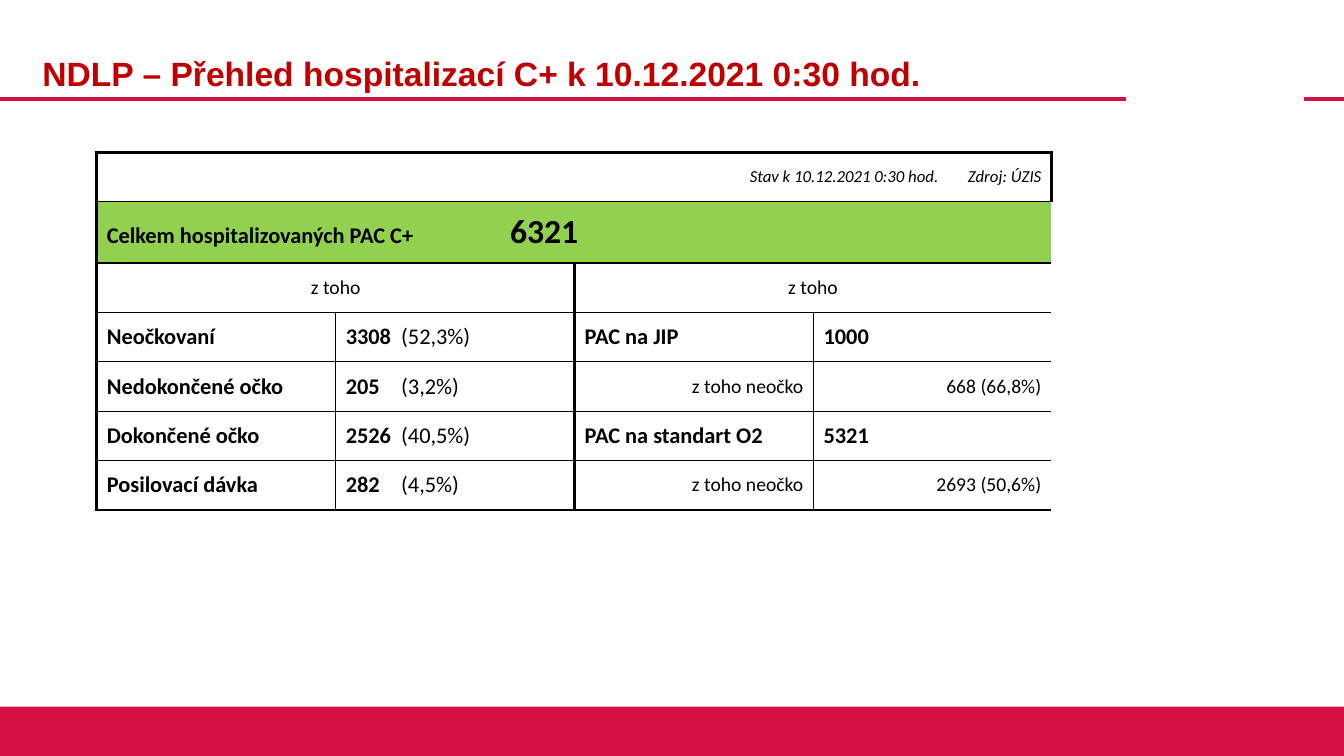
from dataclasses import dataclass

import pptx
import pptx.dml.color
import pptx.enum.shapes
import pptx.enum.text
import pptx.oxml
import pptx.oxml.ns
import pptx.util
from pptx.util import Inches

ALIGN = pptx.enum.text.PP_ALIGN
MIDDLE = pptx.enum.text.MSO_ANCHOR.MIDDLE


def rgb(value):
    return pptx.dml.color.RGBColor.from_string(value)


@dataclass(frozen=True)
class Theme:
    band: str = "D31145"
    title: str = "C00000"
    ink: str = "000000"
    paper: str = "FFFFFF"
    total: str = "92D050"
    title_font: str = "Arial"
    body_font: str = "Calibri"
    big: int = 24
    label: int = 16
    detail: int = 14
    source: int = 12
    rule: float = 3
    thick: float = 2.25
    thin: float = 1


THEME = Theme()
LABEL = {"size": THEME.label, "bold": True}
VALUE = {"size": THEME.label}
TOTAL = {"size": THEME.big, "bold": True}
DETAIL = {"size": THEME.detail}
SOURCE = {"size": THEME.source, "italic": True}

COLUMN_WIDTHS = (2.37, 2.37, 2.37, 1.34, 1.02)
ROW_HEIGHTS = (0.49, 0.61) + (0.49,) * 5
SHARE_TAB = 0.55
TOTAL_TAB = 4

VACCINATION = (
    ("Neočkovaní", "3308", "(52,3%)"),
    ("Nedokončené očko", "205", "(3,2%)"),
    ("Dokončené očko", "2526", "(40,5%)"),
    ("Posilovací dávka", "282", "(4,5%)"),
)
CARE = (
    ("PAC na JIP", "1000", LABEL, ALIGN.LEFT),
    ("z toho neočko", "668 (66,8%)", DETAIL, ALIGN.RIGHT),
    ("PAC na standart O2", "5321", LABEL, ALIGN.LEFT),
    ("z toho neočko", "2693 (50,6%)", DETAIL, ALIGN.RIGHT),
)


def format_font(font, size, color=THEME.ink, **values):
    values = {"name": THEME.body_font, "bold": False, "size": pptx.util.Pt(size), **values}
    for name, value in values.items():
        setattr(font, name, value)
    font.color.rgb = rgb(color)


def add_rule(page, start, end):
    y = Inches(0.98)
    rule = page.shapes.add_connector(
        pptx.enum.shapes.MSO_CONNECTOR.STRAIGHT, Inches(start), y, Inches(end), y)
    rule.line.color.rgb = rgb(THEME.band)
    rule.line.width = pptx.util.Pt(THEME.rule)
    properties = rule._element.spPr
    properties.append(properties.makeelement(pptx.oxml.ns.qn("a:effectLst"), {}))


def add_band(page):
    band = page.shapes.add_shape(
        pptx.enum.shapes.MSO_SHAPE.RECTANGLE,
        Inches(0), Inches(7.01), Inches(13.33), Inches(0.49))
    band.shadow.inherit = False
    band.fill.solid()
    band.fill.fore_color.rgb = rgb(THEME.band)
    band.line.fill.background()


def set_title(page, text):
    title = page.shapes.title
    frame = {"left": 0.32, "top": 0.26, "width": 10.81, "height": 0.98}
    for name, value in frame.items():
        setattr(title, name, Inches(value))
    title.text_frame.vertical_anchor = MIDDLE
    title.text_frame.text = text
    para = title.text_frame.paragraphs[0]
    para.alignment = ALIGN.LEFT
    para.line_spacing = 0.9
    format_font(para.runs[0].font, THEME.big, THEME.title, name=THEME.title_font, bold=True)


def add_tab_stop(para, position):
    stop = (f'<a:tabLst {pptx.oxml.ns.nsdecls("a")}>'
            f'<a:tab pos="{Inches(position)}" algn="l"/></a:tabLst>')
    para._p.get_or_add_pPr().append(pptx.oxml.parse_xml(stop))


def fill_cell(cell, spans, alignment=ALIGN.LEFT, tab=None):
    para = cell.text_frame.paragraphs[0]
    para.alignment = alignment
    if tab:
        add_tab_stop(para, tab)
    for text, style in spans:
        span = para.add_run()
        span.text = text
        format_font(span.font, **style)


def border_xml(side, width):
    color = f'<a:solidFill><a:srgbClr val="{THEME.ink}"/></a:solidFill>' if width else "<a:noFill/>"
    return pptx.oxml.parse_xml(
        f'<a:ln{side} {pptx.oxml.ns.nsdecls("a")} w="{pptx.util.Pt(width)}">{color}</a:ln{side}>')


def vertical_width(row, edge):
    if edge in (0, len(COLUMN_WIDTHS)) or (edge == 2 and row >= 2):
        return THEME.thick
    return THEME.thin if row >= 3 and edge in (1, 3) else 0


def horizontal_width(edge):
    return THEME.thick if edge in (0, len(ROW_HEIGHTS)) else THEME.thin


def format_cell(cell, row, column):
    cell.vertical_anchor = MIDDLE
    cell.fill.solid()
    cell.fill.fore_color.rgb = rgb(THEME.total if row == 1 else THEME.paper)
    widths = {
        "L": vertical_width(row, column),
        "R": vertical_width(row, column + 1),
        "T": horizontal_width(row),
        "B": horizontal_width(row + 1),
    }
    properties = cell._tc.get_or_add_tcPr()
    for index, (side, width) in enumerate(widths.items()):
        properties.insert(index, border_xml(side, width))


def add_grid(page):
    table = page.shapes.add_table(
        len(ROW_HEIGHTS), len(COLUMN_WIDTHS), Inches(0.96), Inches(1.51),
        Inches(sum(COLUMN_WIDTHS)), Inches(sum(ROW_HEIGHTS))).table
    table.first_row = table.horz_banding = False
    for column, width in zip(table.columns, COLUMN_WIDTHS):
        column.width = Inches(width)
    for row, height in zip(table.rows, ROW_HEIGHTS):
        row.height = Inches(height)
    for row in range(len(ROW_HEIGHTS)):
        for column in range(len(COLUMN_WIDTHS)):
            format_cell(table.cell(row, column), row, column)
    merges = [(0, 2, 3), (1, 0, 4), (2, 0, 1), (2, 2, 4)]
    merges += [(row, 3, 4) for row in range(3, len(ROW_HEIGHTS))]
    for row, first, last in merges:
        table.cell(row, first).merge(table.cell(row, last))
    return table


def add_hospital_table(page):
    table = add_grid(page)
    fill_cell(table.cell(0, 2), [("Stav k 10.12.2021 0:30 hod.", SOURCE)], ALIGN.RIGHT)
    fill_cell(table.cell(0, 4), [("Zdroj: ÚZIS", SOURCE)], ALIGN.RIGHT)
    fill_cell(table.cell(1, 0),
              [("Celkem hospitalizovaných PAC C+\t", LABEL), ("6321", TOTAL)], tab=TOTAL_TAB)
    for column in (0, 2):
        fill_cell(table.cell(2, column), [("z toho", DETAIL)], ALIGN.CENTER)
    for row, (group, count, share) in enumerate(VACCINATION, 3):
        fill_cell(table.cell(row, 0), [(group, LABEL)])
        fill_cell(table.cell(row, 1), [(count + "\t", LABEL), (share, VALUE)], tab=SHARE_TAB)
    for row, (group, count, style, alignment) in enumerate(CARE, 3):
        fill_cell(table.cell(row, 2), [(group, style)], alignment)
        fill_cell(table.cell(row, 3), [(count, style)], alignment)


def main():
    deck = pptx.Presentation()
    deck.slide_width, deck.slide_height = Inches(13.33), Inches(7.5)
    page = deck.slides.add_slide(deck.slide_layouts.get_by_name("Title Only"))
    add_rule(page, 0, 11.17)
    add_rule(page, 12.93, 13.33)
    add_band(page)
    set_title(page, "NDLP – Přehled hospitalizací C+ k 10.12.2021 0:30 hod.")
    add_hospital_table(page)
    deck.save("out.pptx")


if __name__ == "__main__":
    main()
